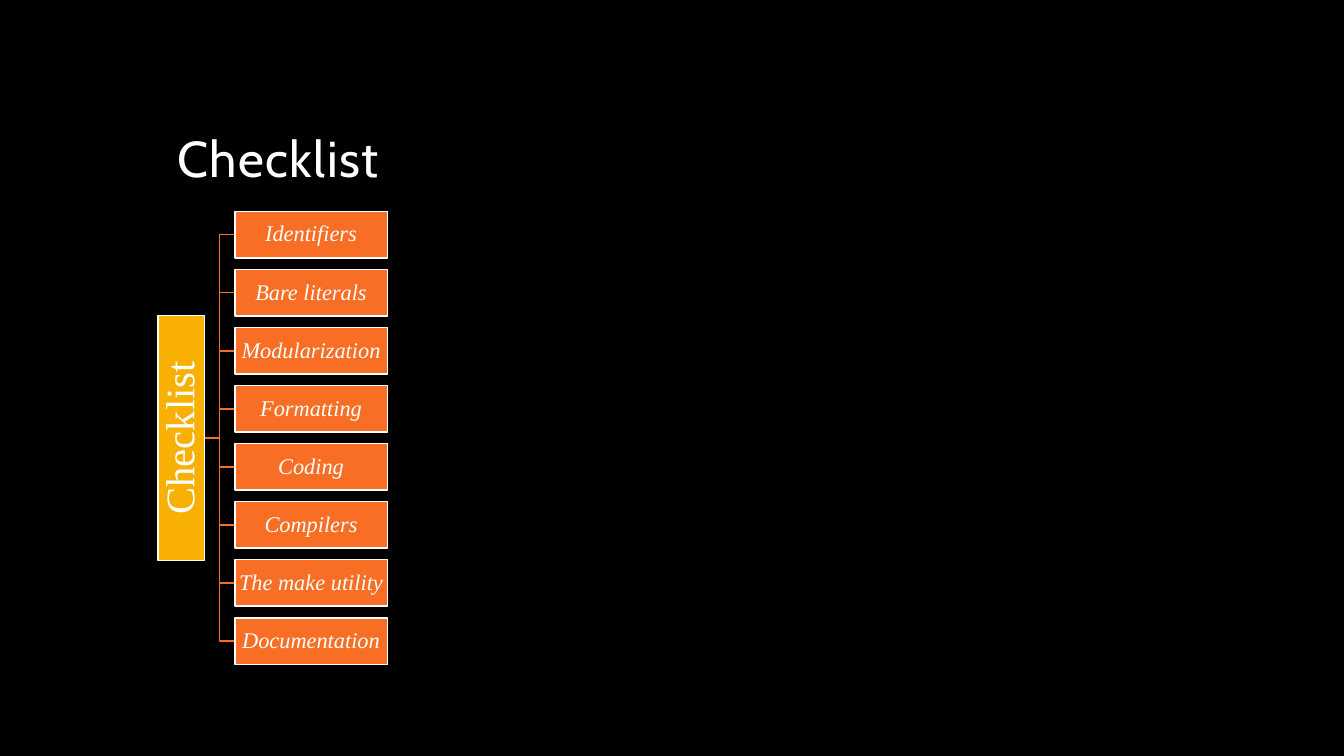
from dataclasses import dataclass

from pptx import Presentation
from pptx import util as u
from pptx.dml import color
from pptx.enum import shapes, text


@dataclass(frozen=True)
class Theme:
    background: str = "000000"
    white: str = "FFFFFF"
    root: str = "F8B004"
    topic: str = "F86E24"
    title_font: str = "Cabin"
    tree_font: str = "Times New Roman"
    title_size: int = 36
    root_size: int = 29
    topic_size: int = 16
    line_width: int = 1


@dataclass(frozen=True)
class Box:
    left: int
    top: int
    width: int
    height: int

    @property
    def right(self):
        return self.left + self.width

    @property
    def middle(self):
        return self.top + self.height // 2


THEME = Theme()
TOPICS = [
    "Identifiers", "Bare literals", "Modularization", "Formatting",
    "Coding", "Compilers", "The make utility", "Documentation",
]


def rgb(value):
    return color.RGBColor.from_string(value)


def style_text(frame, wording, font_name, size, alignment):
    frame.text = wording
    paragraph = frame.paragraphs[0]
    paragraph.alignment = alignment
    paragraph.line_spacing = 0.9
    run = paragraph.runs[0]
    run.font.name = font_name
    run.font.size = u.Pt(size)
    run.font.color.rgb = rgb(THEME.white)
    return run


def set_line(shape, line_color):
    shape.shadow.inherit = False
    shape.line.color.rgb = rgb(line_color)
    shape.line.width = u.Pt(THEME.line_width)


def add_title(slide, box, wording):
    title = slide.shapes.title
    title.left, title.top = box.left, box.top
    title.width, title.height = box.width, box.height
    frame = title.text_frame
    frame.word_wrap = True
    frame.auto_size = text.MSO_AUTO_SIZE.NONE
    frame.vertical_anchor = text.MSO_ANCHOR.BOTTOM
    run = style_text(frame, wording, THEME.title_font, THEME.title_size, text.PP_ALIGN.LEFT)
    run._r.get_or_add_rPr().set("spc", "100")


def add_node(group, box, wording, fill, size, inset):
    node = group.shapes.add_shape(
        shapes.MSO_SHAPE.RECTANGLE, box.left, box.top, box.width, box.height)
    node.fill.solid()
    node.fill.fore_color.rgb = rgb(fill)
    set_line(node, THEME.white)
    frame = node.text_frame
    frame.word_wrap = True
    frame.vertical_anchor = text.MSO_ANCHOR.MIDDLE
    frame.margin_left = frame.margin_right = inset
    frame.margin_top = frame.margin_bottom = inset
    run = style_text(frame, wording, THEME.tree_font, size, text.PP_ALIGN.CENTER)
    return node, run


def add_branch(group, start, end):
    bend = (start[0] + end[0]) // 2
    builder = group.shapes.build_freeform(*start)
    builder.add_line_segments([(bend, start[1]), (bend, end[1]), end], close=False)
    branch = builder.convert_to_shape()
    branch.fill.background()
    set_line(branch, THEME.topic)


def add_tree(slide, box, root_name, topics):
    group = slide.shapes.add_group_shape()
    node_height, topic_width, root_length = u.Cm(1.17), u.Cm(3.84), u.Cm(6.17)
    pitch = (box.height - node_height) / (len(topics) - 1)
    topic_boxes = [
        Box(box.right - topic_width, round(box.top + index * pitch), topic_width, node_height)
        for index in range(len(topics))
    ]
    for topic_box in reversed(topic_boxes):
        add_branch(group, (box.left + node_height, box.middle),
                   (topic_box.left, topic_box.middle))

    root_box = Box(box.left + (node_height - root_length) // 2,
                   box.middle - node_height // 2, root_length, node_height)
    root, _ = add_node(group, root_box, root_name, THEME.root, THEME.root_size, u.Cm(0.05))
    root.rotation = 270

    for topic_box, topic in zip(topic_boxes, topics):
        _, run = add_node(group, topic_box, topic, THEME.topic, THEME.topic_size, u.Cm(0.03))
        run.font.italic = True


def main():
    presentation = Presentation()
    presentation.slide_width, presentation.slide_height = u.Cm(33.87), u.Cm(19.05)
    slide = presentation.slides.add_slide(presentation.slide_layouts[5])
    slide.background.fill.solid()
    slide.background.fill.fore_color.rgb = rgb(THEME.background)
    add_title(slide, Box(u.Cm(4.22), u.Cm(1.07), u.Cm(25.4), u.Cm(3.81)), "Checklist")
    add_tree(slide, Box(u.Cm(3.98), u.Cm(5.33), u.Cm(5.78), u.Cm(11.41)), "Checklist", TOPICS)
    presentation.save("out.pptx")


if __name__ == "__main__":
    main()
